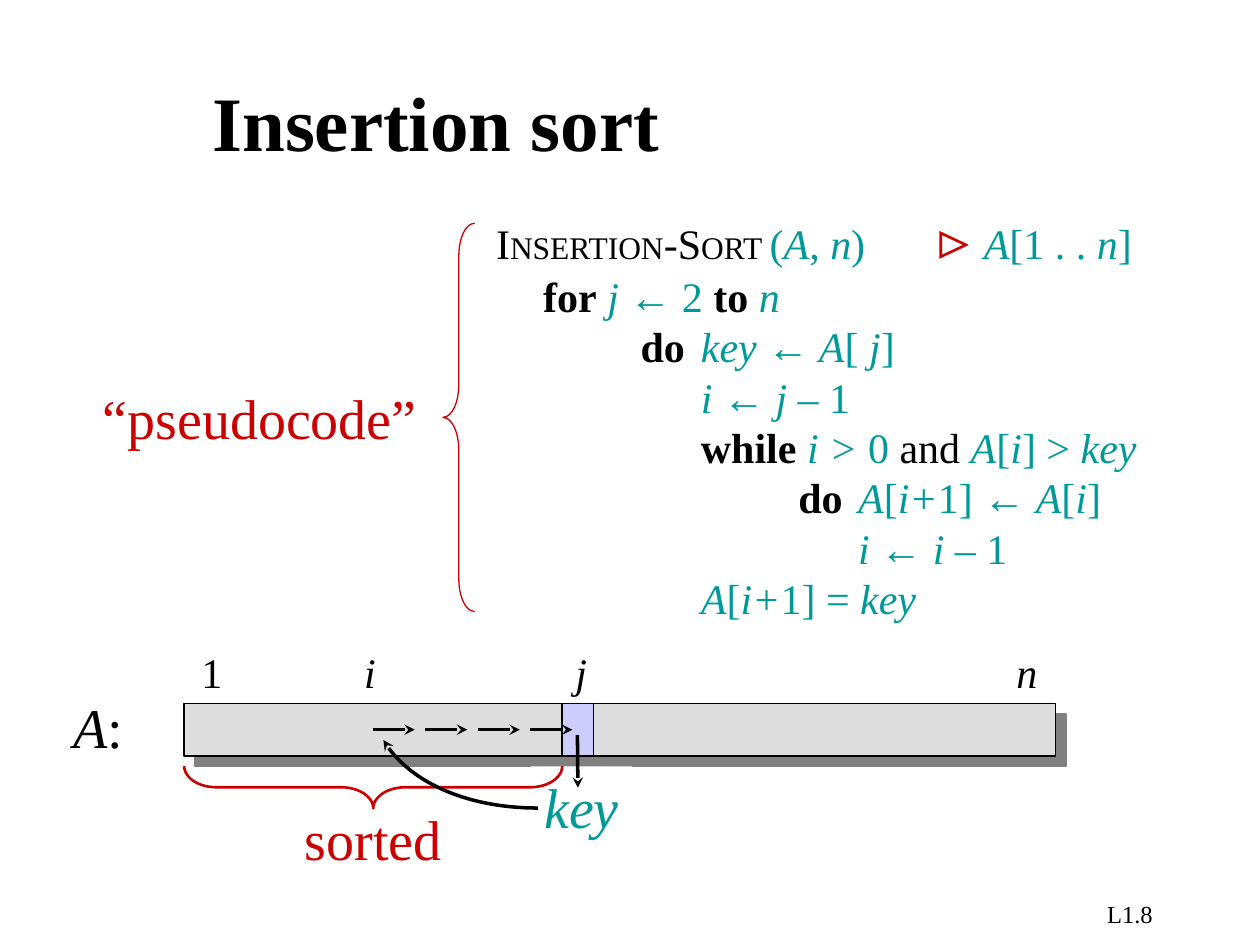
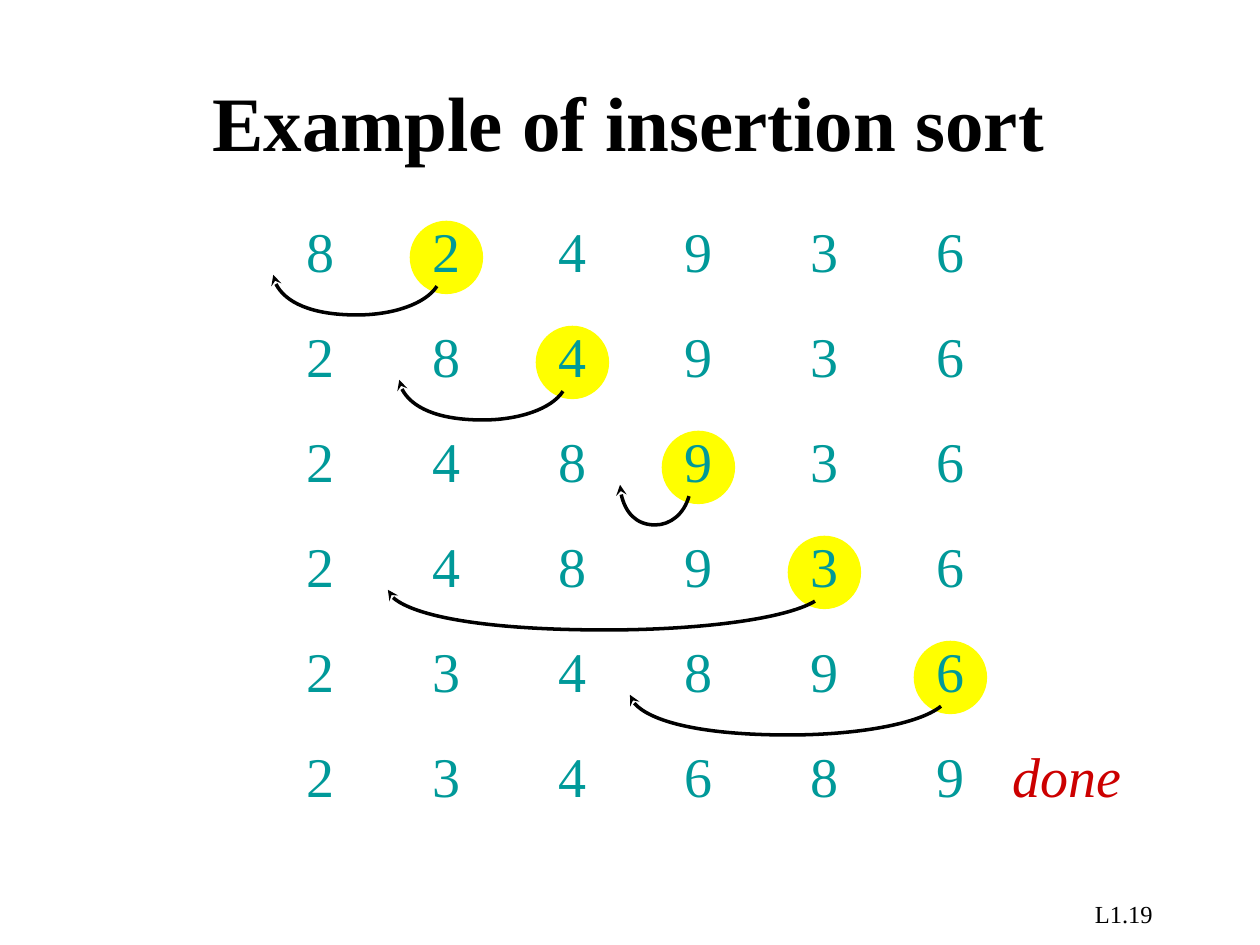
import pptx
import pptx.dml.color
import pptx.enum.shapes
import pptx.enum.text
import pptx.oxml
import pptx.oxml.ns
import pptx.util

Cm = pptx.util.Cm
SHAPE = pptx.enum.shapes.MSO_SHAPE
ALIGN = pptx.enum.text.PP_ALIGN
FONT = "Times New Roman"
BLACK, TEAL, RED = "000000", "009999", "CC0000"
GREY, LILAC, YELLOW, WHITE = "DDDDDD", "CCCCFF", "FFFF00", "FFFFFF"
DRAWING = pptx.oxml.ns.nsdecls("a")

STYLES = {
    "plain": (24, BLACK, False, False),
    "small": (18, BLACK, False, False),
    "word": (24, BLACK, True, False),
    "value": (24, TEAL, False, False),
    "name": (24, TEAL, False, True),
    "mark": (32, RED, False, False),
    "index": (24, BLACK, False, True),
    "title": (44, BLACK, True, False),
    "footer": (14, BLACK, False, False),
    "digit": (32, TEAL, False, False),
    "key": (32, TEAL, False, True),
    "done": (32, RED, False, True),
    "array": (32, BLACK, False, True),
    "colon": (32, BLACK, False, False),
}

CODE_TABS = [(0.95, "l"), (3.81, "r"), (4.13, "l"), (6.99, "r"), (7.3, "l"), (8.89, "l")]
CODE = [
    [("I", "plain"), ("NSERTION", "small"), ("-S", "plain"), ("ORT ", "small"),
     ("(", "value"), ("A", "name"), (", ", "value"), ("n", "name"), (")\t", "value"),
     ("⊳ ", "mark"), ("A", "name"), ("[1 . . ", "value"), ("n", "name"), ("]\t", "value")],
    [("\t", "plain"), ("for\t ", "word"), ("j ", "name"), ("← 2 ", "value"),
     ("to ", "word"), ("n", "name")],
    [("\t\t", "plain"), ("do\t", "word"), ("key ← A", "name"), ("[ ", "value"),
     ("j", "name"), ("]", "value")],
    [("\t\t\t", "plain"), ("i ← j – ", "name"), ("1", "value")],
    [("\t\t\t", "plain"), ("while\t ", "word"), ("i > ", "name"), ("0", "value"),
     (" and ", "plain"), ("A", "name"), ("[", "value"), ("i", "name"),
     ("] > ", "value"), ("key", "name")],
    [("\t\t\t\t", "plain"), ("do\t", "word"), ("A", "name"), ("[", "value"),
     ("i+", "name"), ("1] ← ", "value"), ("A", "name"), ("[", "value"),
     ("i", "name"), ("]", "value")],
    [("\t\t\t\t\t", "plain"), ("i ← i – ", "name"), ("1", "value")],
    [("\t\t\t", "plain"), ("A", "name"), ("[", "value"), ("i+", "name"),
     ("1] = ", "value"), ("key", "name")],
]


def color(code):
    """Turn a hex string into a colour."""
    return pptx.dml.color.RGBColor.from_string(code)


def write(shape, lines, align=ALIGN.LEFT, wrap=False):
    """Fill a shape with lines, each a list of (text, style) spans."""
    frame = shape.text_frame
    frame.word_wrap = wrap
    if not wrap:
        frame.auto_size = pptx.enum.text.MSO_AUTO_SIZE.SHAPE_TO_FIT_TEXT
    for number, line in enumerate(lines):
        para = frame.paragraphs[0] if number == 0 else frame.add_paragraph()
        para.alignment = align
        for text, style in line:
            span = para.add_run()
            span.text = text
            size, code, bold, italic = STYLES[style]
            span.font.name = FONT
            span.font.size = pptx.util.Pt(size)
            span.font.color.rgb = color(code)
            span.font.bold, span.font.italic = bold, italic


def add_text(page, place, lines, align=ALIGN.LEFT, wrap=False):
    """Add a text box at left, top, width, height in centimetres."""
    box = page.shapes.add_textbox(*map(Cm, place))
    write(box, lines, align, wrap)
    return box


def set_tabs(box, stops):
    """Give every paragraph of a box the same tab stops."""
    items = "".join(f'<a:tab pos="{Cm(at)}" algn="{side}"/>' for at, side in stops)
    for para in box.text_frame.paragraphs:
        tabs = pptx.oxml.parse_xml(f"<a:tabLst {DRAWING}>{items}</a:tabLst>")
        para._p.get_or_add_pPr().append(tabs)


def add_shape(page, kind, place, fill=None, line=None, weight=0.75):
    """Add a preset shape with an optional fill and outline."""
    shape = page.shapes.add_shape(kind, *map(Cm, place))
    shape.shadow.inherit = False
    if fill:
        shape.fill.solid()
        shape.fill.fore_color.rgb = color(fill)
    else:
        shape.fill.background()
    if line:
        shape.line.color.rgb = color(line)
        shape.line.width = pptx.util.Pt(weight)
    else:
        shape.line.fill.background()
    return shape


def add_brace(page, place, bend, weight, turn=0):
    """Add a red brace that opens to the right before it is turned."""
    brace = add_shape(page, SHAPE.LEFT_BRACE, place, line=RED, weight=weight)
    brace.adjustments[0] = bend
    brace.rotation = turn


def drop_shadow(shape):
    """Cast a hard grey shadow to the lower right."""
    effects = shape._element.spPr.find(pptx.oxml.ns.qn("a:effectLst"))
    effects.append(pptx.oxml.parse_xml(
        f'<a:outerShdw {DRAWING} blurRad="0" dist="{Cm(0.3)}" dir="2700000" '
        'algn="ctr" rotWithShape="0"><a:srgbClr val="808080"/></a:outerShdw>'))


def style_arrow(shape):
    """Draw a line or curve in black with a stealth head at its end."""
    shape.line.color.rgb = color(BLACK)
    shape.line.width = pptx.util.Pt(2)
    shape.line._get_or_add_ln().append(
        pptx.oxml.parse_xml(f'<a:tailEnd {DRAWING} type="stealth"/>'))


def add_arrow(page, start, end):
    """Add a straight arrow."""
    arrow = page.shapes.add_connector(
        pptx.enum.shapes.MSO_CONNECTOR.STRAIGHT, *map(Cm, start + end))
    style_arrow(arrow)
    arrow._element.spPr.append(pptx.oxml.parse_xml(f"<a:effectLst {DRAWING}/>"))


def bend_segments(shape):
    """Merge every three straight segments of an outline into one cubic curve."""
    segments = list(shape._element.iter(pptx.oxml.ns.qn("a:lnTo")))
    for first in range(0, len(segments), 3):
        cubic = pptx.oxml.parse_xml(f"<a:cubicBezTo {DRAWING}/>")
        segments[first].addprevious(cubic)
        for segment in segments[first:first + 3]:
            cubic.append(segment[0])
            segment.getparent().remove(segment)


def add_curve(page, points):
    """Add a curved arrow through chained cubic control points."""
    start, *others = [tuple(map(Cm, point)) for point in points]
    builder = page.shapes.build_freeform(*start)
    builder.add_line_segments(others, close=False)
    curve = builder.convert_to_shape()
    bend_segments(curve)
    curve.shadow.inherit = False
    curve.fill.background()
    style_arrow(curve)


def add_page(deck, title, number):
    """Add a blank page with its title and page number."""
    page = deck.slides.add_slide(deck.slide_layouts[6])
    add_text(page, (18.2, 17.99, 5.29, 0.64), [[(number, "footer")]], ALIGN.RIGHT, True)
    heading = add_text(page, (4.03, 0.85, 20.96, 3.18), [[(title, "title")]], wrap=True)
    heading.text_frame.vertical_anchor = pptx.enum.text.MSO_ANCHOR.MIDDLE
    return page


def build_pseudocode(page):
    """Show the code beside its brace and label."""
    set_tabs(add_text(page, (9.75, 3.97, 15.75, 8.71), CODE), CODE_TABS)
    add_brace(page, (8.93, 4.5, 0.64, 7.83), 1.03, 0.75)
    add_text(page, (1.82, 7.61, 6.86, 1.59), [[("“pseudocode”", "mark")]])


def build_array(page):
    """Show the array with its sorted part, its key and the moves."""
    drop_shadow(add_shape(page, SHAPE.RECTANGLE, (3.71, 14.18, 17.57, 1.06), GREY, BLACK))
    add_shape(page, SHAPE.RECTANGLE, (11.33, 14.18, 0.64, 1.06), LILAC, BLACK)
    for text, style, left, width in [("i", "index", 7.09, 0.74), ("j", "index", 11.35, 0.74)]:
        add_text(page, (left, 12.91, width, 1.27), [[(text, style)]])
    for step in range(4):
        left = 7.51 + 1.06 * step
        add_arrow(page, (left, 14.71), (left + 0.85, 14.71))
    key = add_shape(page, SHAPE.RECTANGLE, (10.71, 15.45, 2.03, 1.59), WHITE)
    write(key, [[("key", "key")]], ALIGN.CENTER)
    add_arrow(page, (11.64, 14.82), (11.65, 15.88))
    add_text(page, (5.89, 16.09, 3.28, 1.59), [[("sorted", "mark")]], ALIGN.CENTER)
    add_brace(page, (7.1, 12.06, 0.85, 7.62), 0.76, 1.5, 270)
    add_curve(page, [(10.85, 16.29), (9.45, 16.29), (8.2, 15.73), (7.73, 14.92)])
    add_text(page, (1.23, 13.84, 1.52, 1.59), [[("A", "array"), (":", "colon")]], ALIGN.CENTER)
    for text, style, left in [("1", "plain", 3.81), ("n", "index", 20.24)]:
        add_text(page, (left, 12.91, 0.94, 1.27), [[(text, style)]])


def build_example(page, values, targets):
    """Show each pass of the sort, with an arrow from the key to its target."""
    left, top, column_step, row_step = 5.93, 4.24, 2.54, 12.7 / 6
    bow = [(0, 1.53), (0.07, 1.89), (0.27, 2.11), (0.49, 2.11),
           (0.77, 2.11), (0.99, 1.76), (1, 1.3)]
    for row in range(len(values)):
        y = top + row_step * row
        key = row + 1
        if row < len(targets):
            x = left + column_step * key
            add_shape(page, SHAPE.OVAL, (x - 0.21, y + 0.21, 1.48, 1.48), YELLOW)
        for column, value in enumerate(values):
            add_text(page, (left + column_step * column, y, 1.06, 1.59),
                     [[(str(value), "digit")]], ALIGN.CENTER)
        if row < len(targets):
            start = x + 0.34
            reach = start - targets[row]
            add_curve(page, [(start - reach * across, y + down) for across, down in bow])
            values = sorted(values[:key + 1]) + values[key + 1:]
    add_text(page, (20.14, y, 2.72, 1.59), [[("done", "done")]], ALIGN.CENTER)


def main():
    """Build both pages and save the deck."""
    deck = pptx.Presentation()
    deck.slide_width, deck.slide_height = Cm(25.4), Cm(19.05)
    page = add_page(deck, "Insertion sort", "L1.8")
    build_pseudocode(page)
    build_array(page)
    page = add_page(deck, "Example of insertion sort", "L1.19")
    build_example(page, [8, 2, 4, 9, 3, 6], [5.51, 8.05, 12.5, 7.82, 12.7])
    deck.save("out.pptx")


if __name__ == "__main__":
    main()
